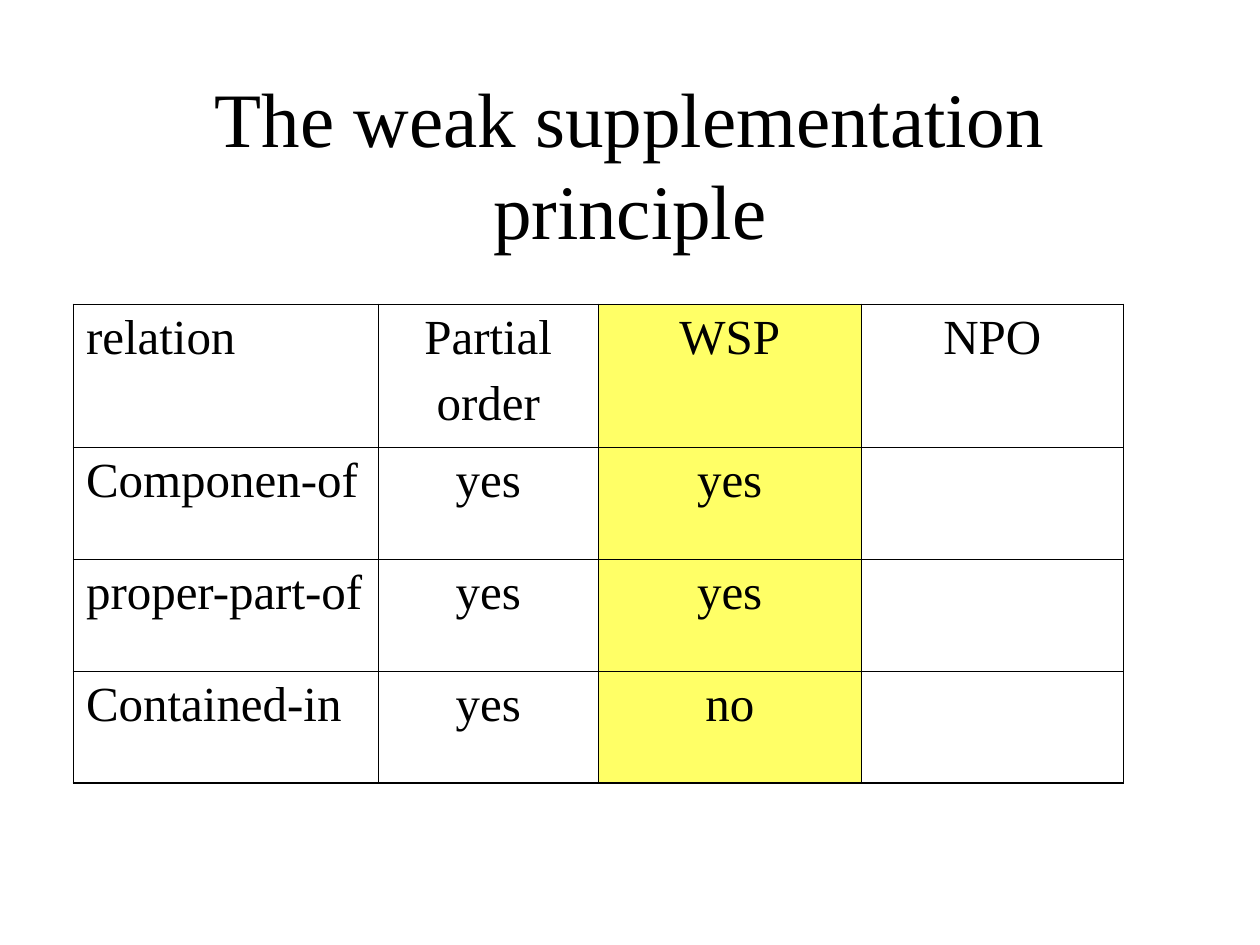
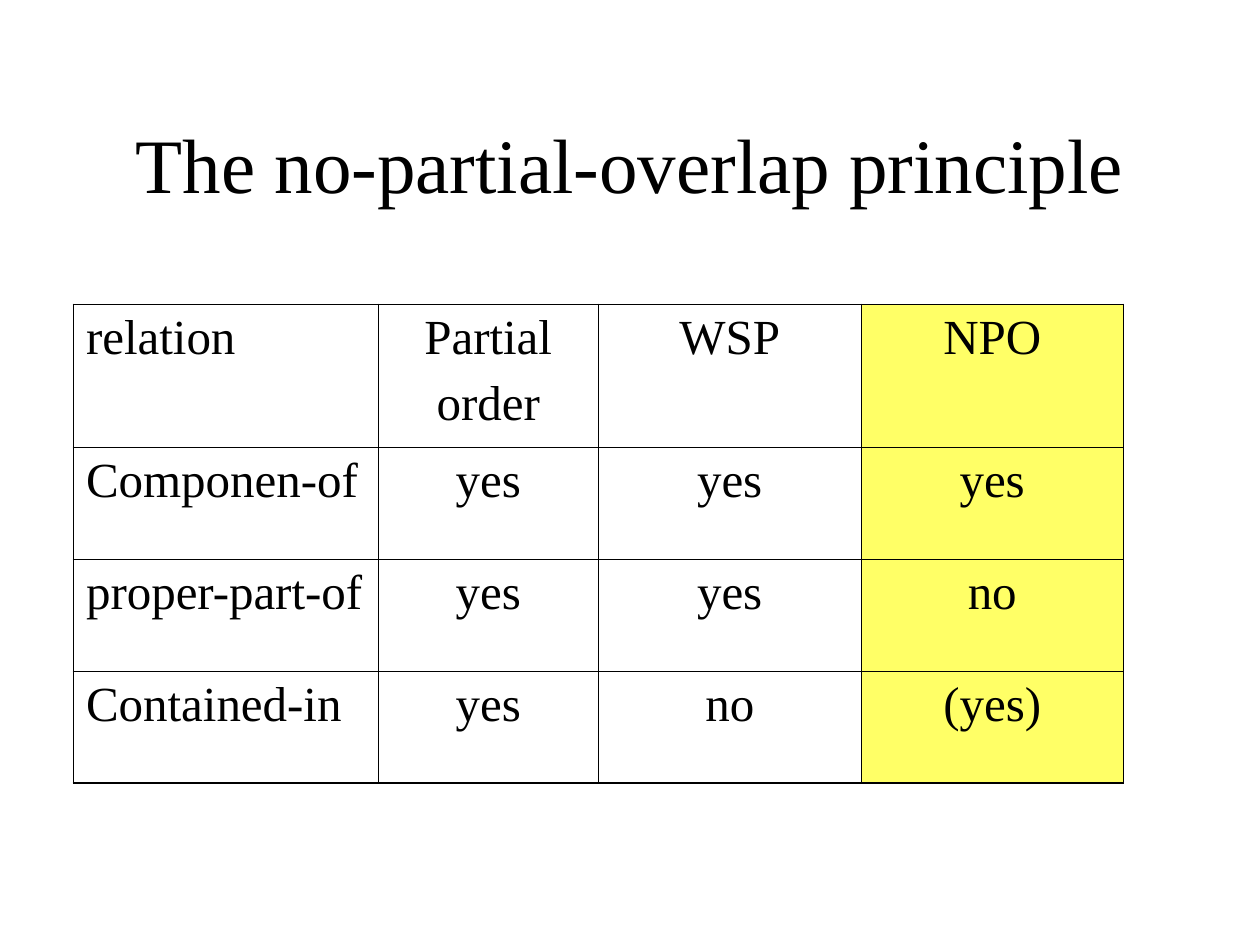
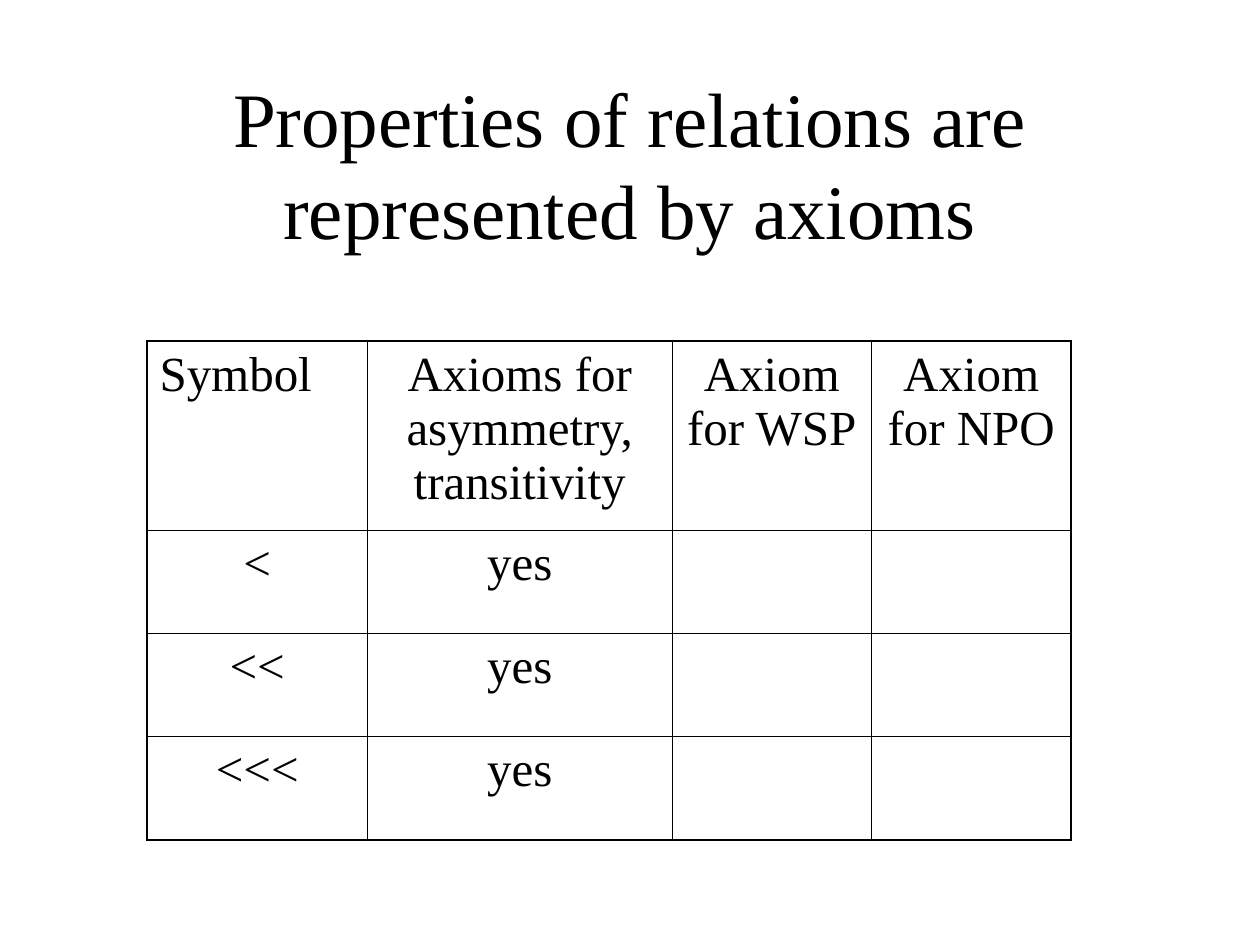
from lxml import etree
from pptx import Presentation
from pptx.dml.color import RGBColor
from pptx.enum.text import MSO_ANCHOR, MSO_AUTO_SIZE, PP_ALIGN
from pptx.oxml.ns import qn
from pptx.util import Pt

LEFT, CENTER = PP_ALIGN.LEFT, PP_ALIGN.CENTER
MIDDLE = MSO_ANCHOR.MIDDLE
NO_FIT = MSO_AUTO_SIZE.NONE

BLACK = RGBColor(0x00, 0x00, 0x00)
YELLOW = RGBColor(0xFF, 0xFF, 0x66)
FONT = "Times New Roman"
TITLE_SIZE, CELL_SIZE = Pt(44), Pt(28)
OUTER_LINE, INNER_LINE = Pt(1.08), Pt(0.45)
TITLE_ONLY = 5

RELATION_COLS = [174, 126, 150, 150]
RELATION_ROWS = [81.5, 64, 64, 64]
SYMBOL_COLS = [126, 174, 114, 114]
SYMBOL_ROWS = [108, 59, 59, 59]

RELATIONS = [
    ["relation", "Partial\norder", "WSP", "NPO"],
    ["Componen-of", "yes", "yes", "yes"],
    ["proper-part-of", "yes", "yes", "no"],
    ["Contained-in", "yes", "no", "(yes)"],
]
RELATIONS_BEFORE_NPO = [RELATIONS[0]] + [row[:3] + [""] for row in RELATIONS[1:]]
SYMBOLS = [
    ["Symbol", "Axioms for asymmetry, transitivity", "Axiom for WSP", "Axiom for NPO"],
    ["<", "yes", "", ""],
    ["<<", "yes", "", ""],
    ["<<<", "yes", "", ""],
]


def format_text(tf, size, align):
    for i, p in enumerate(tf.paragraphs):
        p.alignment = align
        if i:
            p.space_before = Pt(7)
        for r in p.runs:
            r.font.name = FONT
            r.font.size = size
            r.font.bold = False
            r.font.color.rgb = BLACK


def add_titled_slide(prs, text):
    slide = prs.slides.add_slide(prs.slide_layouts[TITLE_ONLY])
    title = slide.shapes.title
    title.left, title.top, title.width, title.height = Pt(54), Pt(48), Pt(612), Pt(90)
    tf = title.text_frame
    tf.text = text
    tf.word_wrap = True
    tf.auto_size = NO_FIT
    tf.vertical_anchor = MIDDLE
    format_text(tf, TITLE_SIZE, CENTER)
    return slide


def add_border(cell, side, width):
    ln = etree.SubElement(cell._tc.get_or_add_tcPr(), qn(f"a:ln{side}"), w=str(width))
    fill = etree.SubElement(ln, qn("a:solidFill"))
    etree.SubElement(fill, qn("a:srgbClr"), val=str(BLACK))


def add_grid(slide, left, top, cols, rows, data, highlight=None, left_rows=()):
    frame = slide.shapes.add_table(len(rows), len(cols), Pt(left), Pt(top),
                                   Pt(sum(cols)), Pt(sum(rows)))
    table = frame.table
    table.first_row = table.horz_banding = False
    for column, width in zip(table.columns, cols):
        column.width = Pt(width)
    last_row, last_col = len(rows) - 1, len(cols) - 1
    for i, height in enumerate(rows):
        table.rows[i].height = Pt(height)
        for j, text in enumerate(data[i]):
            cell = table.cell(i, j)
            cell.margin_left = cell.margin_right = Pt(7.2)
            cell.margin_top = cell.margin_bottom = Pt(3.6)
            cell.text_frame.text = text
            align = LEFT if j == 0 and i in left_rows else CENTER
            format_text(cell.text_frame, CELL_SIZE, align)
            edges = {"L": j == 0, "R": j == last_col, "T": i == 0, "B": i == last_row}
            for side, is_outer in edges.items():
                add_border(cell, side, OUTER_LINE if is_outer else INNER_LINE)
            if j == highlight:
                cell.fill.solid()
                cell.fill.fore_color.rgb = YELLOW
            else:
                cell.fill.background()


def add_relation_slide(prs, title, data, highlight):
    slide = add_titled_slide(prs, title)
    add_grid(slide, 42, 174, RELATION_COLS, RELATION_ROWS, data, highlight,
             left_rows=range(len(data)))


def add_symbol_slide(prs):
    slide = add_titled_slide(prs, "Properties of relations are represented by axioms")
    add_grid(slide, 84, 195, SYMBOL_COLS, SYMBOL_ROWS, SYMBOLS, left_rows=[0])


def main():
    prs = Presentation()
    prs.slide_width, prs.slide_height = Pt(720), Pt(540)
    add_relation_slide(prs, "The weak supplementation principle", RELATIONS_BEFORE_NPO, 2)
    add_relation_slide(prs, "The no-partial-overlap principle", RELATIONS, 3)
    add_symbol_slide(prs)
    prs.save("out.pptx")


if __name__ == "__main__":
    main()
